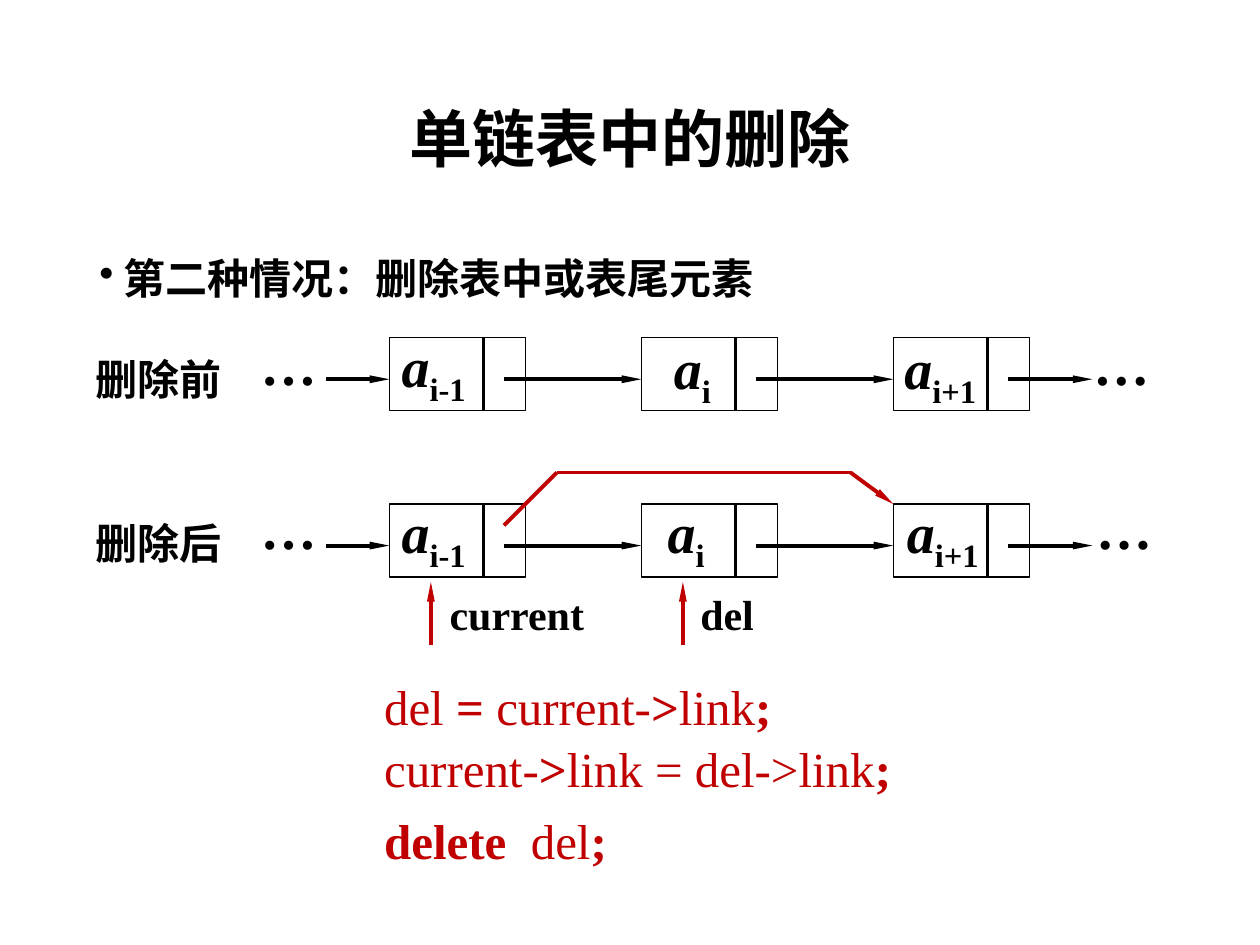
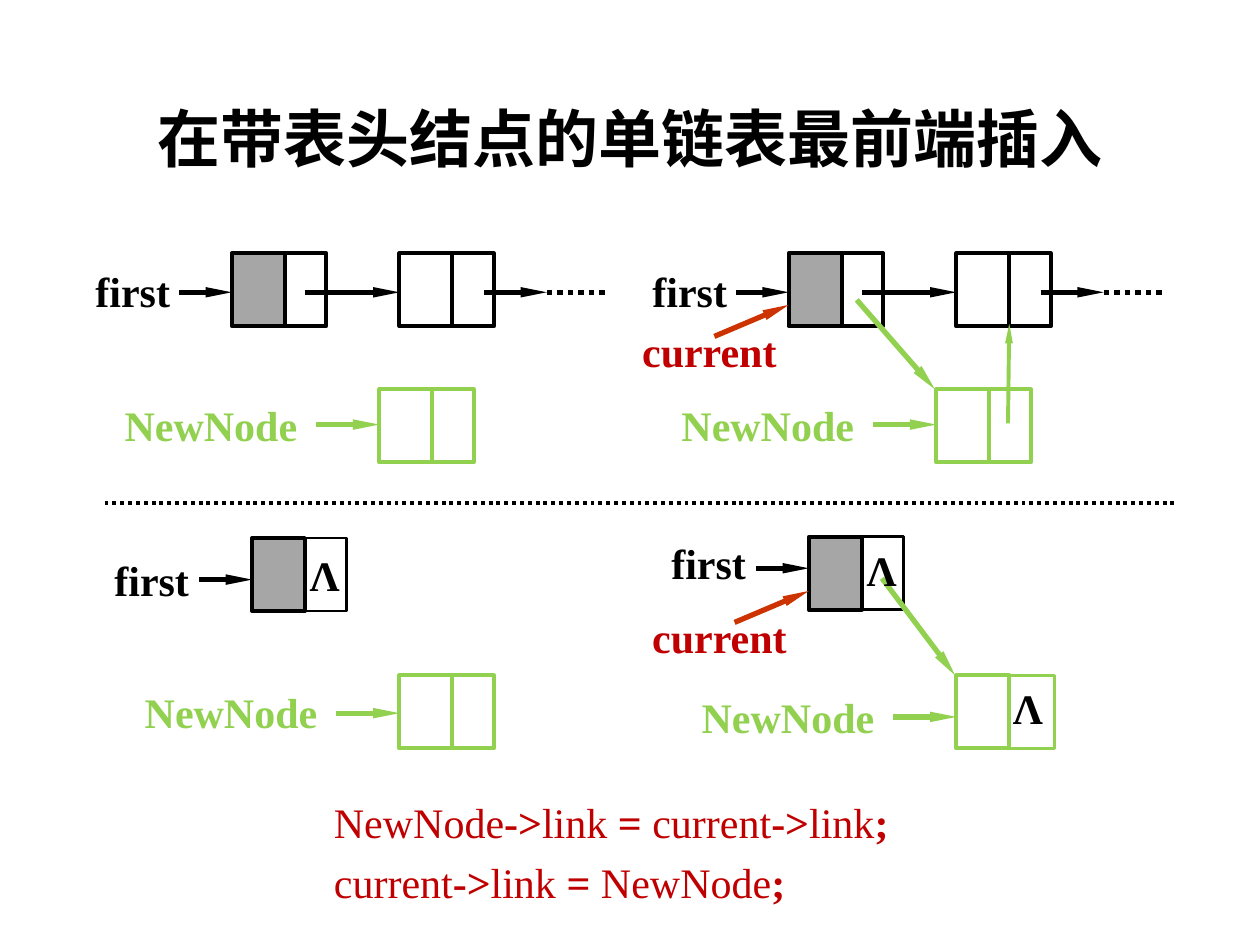
import dataclasses

import pptx
import pptx.dml.color
import pptx.enum.dml
import pptx.enum.shapes
import pptx.enum.text
import pptx.oxml
import pptx.oxml.ns
import pptx.util

ALIGN = pptx.enum.text.PP_ALIGN
MID = pptx.enum.text.MSO_ANCHOR.MIDDLE
TOP = pptx.enum.text.MSO_ANCHOR.TOP
RECT = pptx.enum.shapes.MSO_SHAPE.RECTANGLE
STRAIGHT = pptx.enum.shapes.MSO_CONNECTOR.STRAIGHT
DOTS = pptx.enum.dml.MSO_LINE.ROUND_DOT


@dataclasses.dataclass
class Theme:
    black: str = "000000"
    white: str = "FFFFFF"
    gray: str = "A6A6A6"
    red: str = "C00000"
    rust: str = "CC3300"
    green: str = "92D050"
    latin: str = "Times New Roman"
    han: str = "Noto Sans CJK SC"
    title: int = 36
    sign: int = 32
    code: int = 28
    body: int = 24
    unit: float = 2.54  # grid unit in centimetres


def size(num):
    return pptx.util.Cm(num * Theme.unit)


def rgb(tint):
    return pptx.dml.color.RGBColor.from_string(tint)


def code(line):
    """Split at bars: every second part is bold."""
    return [(part, {"bold": i % 2 == 1})
            for i, part in enumerate(line.split("|")) if part]


class Deck:
    def __init__(self, theme):
        self.theme = theme
        self.file = pptx.Presentation()
        self.file.slide_width, self.file.slide_height = size(10), size(7.5)

    def page(self, title):
        self.slide = self.file.slides.add_slide(self.file.slide_layouts[6])
        frame = self.text((0.69, 0.4, 8.62, 1.45), title, self.theme.title,
                          font=self.theme.han, align=ALIGN.CENTER,
                          anchor=MID, wrap=True)
        frame.paragraphs[0].line_spacing = 0.9

    def run(self, par, text, pts, tint, font, bold=True, italic=False, **marks):
        run = par.add_run()
        run.text = text
        run.font.size = pptx.util.Pt(pts)
        run.font.name = font
        run.font.bold, run.font.italic = bold, italic
        run.font.color.rgb = rgb(tint)
        prop = run._r.get_or_add_rPr()
        pptx.oxml.ns.qn("a:ea")
        east = prop.makeelement(pptx.oxml.ns.qn("a:ea"), {"typeface": font})
        prop.append(east)
        for name, mark in marks.items():
            prop.set(name, str(mark))

    def text(self, box, runs, pts=None, tint=None, font=None,
             align=ALIGN.LEFT, anchor=TOP, wrap=False):
        """Place one paragraph, given as a string or as (text, style) runs."""
        frame = self.slide.shapes.add_textbox(*map(size, box)).text_frame
        frame.word_wrap = wrap
        frame.vertical_anchor = anchor
        if not wrap:
            frame.auto_size = pptx.enum.text.MSO_AUTO_SIZE.SHAPE_TO_FIT_TEXT
        self.fill(frame.paragraphs[0], runs, pts, tint, font, align)
        return frame

    def fill(self, par, runs, pts=None, tint=None, font=None, align=ALIGN.LEFT):
        par.alignment = align
        for text, style in [(runs, {})] if isinstance(runs, str) else runs:
            self.run(par, text, pts or self.theme.body,
                     tint or self.theme.black, font or self.theme.latin, **style)

    def rect(self, box, tint, width, fill=None):
        shape = self.slide.shapes.add_shape(RECT, *map(size, box))
        shape.shadow.inherit = False
        shape.fill.solid()
        shape.fill.fore_color.rgb = rgb(fill or self.theme.white)
        shape.line.color.rgb = rgb(tint)
        shape.line.width = pptx.util.Pt(width)

    def line(self, start, end, tint=None, width=3, head=True, dash=None):
        wire = self.slide.shapes.add_connector(
            STRAIGHT, *map(size, (*start, *end)))
        wire.line.color.rgb = rgb(tint or self.theme.black)
        wire.line.width = pptx.util.Pt(width)
        if dash:
            wire.line.dash_style = dash
        prop = wire.element.spPr
        if head:
            tail = {"type": "triangle", "w": "sm", "len": "lg"}
            rim = prop.find(pptx.oxml.ns.qn("a:ln"))
            rim.append(rim.makeelement(pptx.oxml.ns.qn("a:tailEnd"), tail))
        prop.append(prop.makeelement(pptx.oxml.ns.qn("a:effectLst"), {}))

    def node(self, x, y, tint=None, fill=None, thin=None, wide=0.33):
        """Draw a data cell and a link cell side by side."""
        tint = tint or self.theme.black
        self.rect((x + 0.42, y, wide, 0.58), tint, thin or 2.25)
        self.rect((x, y, 0.42, 0.58), tint, 2.25, fill)

    def item(self, x, y, wide, sub):
        self.text((x, y, wide, 0.64),
                  [("a", {"italic": True}), (sub, {"baseline": -25000})],
                  self.theme.sign)


def chain(deck, name, top, tag, dots, items):
    """Draw one row of three linked nodes between two ellipses."""
    mid = top + 0.33
    deck.text((0.66, tag, 1.21, 0.5), name, font=deck.theme.han)
    deck.line((2.59, mid), (3.09, mid), width=2.25)
    for i in range(3):
        x = 3.09 + 2 * i
        deck.rect((x, top, 1.08, 0.58), deck.theme.black, 0.75)
        deck.line((x + 0.75, top), (x + 0.75, top + 0.58), width=1.5, head=False)
        end = x + 2 if i < 2 else 8.67
        deck.line((x + 0.91, mid), (end, mid), width=2.25)
    for x in (1.97, dots[0]):
        deck.text((x, dots[1], 0.65, 0.64), "…", deck.theme.sign)
    for item in items:
        deck.item(*item)


def remove(deck):
    theme = deck.theme
    deck.page("单链表中的删除")
    frame = deck.text((0.69, 2, 8.62, 0.6), "第二种情况：删除表中或表尾元素",
                      font=theme.han, wrap=True)
    par = frame.paragraphs[0]
    prop = par._p.get_or_add_pPr()
    prop.set("marL", str(size(0.19)))
    prop.set("indent", str(-size(0.19)))
    prop.append(prop.makeelement(pptx.oxml.ns.qn("a:buChar"), {"char": "•"}))
    par.line_spacing = 0.9

    # Lists before and after
    chain(deck, "删除前", 2.68, 2.76, (8.58, 2.57),
          [(3.09, 2.58, 0.76, "i-1"), (5.25, 2.6, 0.51, "i"),
           (7.08, 2.6, 0.83, "i+1")])
    chain(deck, "删除后", 4, 4.06, (8.6, 3.87),
          [(3.09, 3.9, 0.76, "i-1"), (5.2, 3.9, 0.51, "i"),
           (7.1, 3.9, 0.83, "i+1")])

    # Pointers and bypass
    for x, left, wide, name in ((3.42, 3.47, 1.28, "current"),
                                (5.42, 5.46, 0.63, "del")):
        deck.line((x, 5.12), (x, 4.62), theme.red, 2.25)
        deck.text((left, 4.62, wide, 0.5), name)
    bends = [(4, 4.17), (4.42, 3.75), (6.75, 3.75), (7.09, 4)]
    for start, end in zip(bends, bends[1:]):
        deck.line(start, end, theme.red, 2.25, head=end == bends[-1])

    # Code
    wide = [(" ", {"spc": 700})]
    for y, runs in ((5.32, code("del |= |current-|>|link|;")),
                    (5.81, code("current-|>|link = del->link|;")),
                    (6.38, code("|delete") + wide + code("del|;"))):
        deck.text((2.95, y, 4.51, 0.57), runs, theme.code, theme.red, wrap=True)


def insert(deck):
    theme = deck.theme
    deck.page("在带表头结点的单链表最前端插入")
    shift = 4.42

    # Filled list, before and after
    for x in (0, shift):
        deck.node(x + 3.17, 2.01)
        deck.node(x + 1.84, 2.01, fill=theme.gray)
        deck.node(x + 3.01, 3.09, theme.green)
        for start, end in ((1.42, 1.84), (2.42, 3.17), (3.84, 4.34)):
            deck.line((x + start, 2.32), (x + end, 2.32))
        deck.line((x + 4.34, 2.32), (x + 4.84, 2.32), head=False, dash=DOTS)
        deck.line((x + 2.51, 3.37), (x + 3.01, 3.37), theme.green)
        deck.text((x + 0.66, 2.06, 0.8, 0.5), "first")
        deck.text((x + 0.89, 3.12, 1.59, 0.5), "NewNode", tint=theme.green)

    # Empty list, before and after
    deck.line((0.83, 3.99), (9.33, 3.99), width=2.25, head=False, dash=DOTS)
    for x, top, mid, tag, low, name, thin, wide in (
            (0, 4.27, 4.6, 4.35, 5.66, 5.4, None, 0.33),
            (shift, 4.26, 4.51, 4.22, 5.69, 5.44, 1.5, 0.36)):
        deck.node(x + 2, top, fill=theme.gray, thin=1.5)
        deck.node(x + 3.17, 5.36, theme.green, thin=thin, wide=wide)
        deck.line((x + 1.58, mid), (x + 2, mid))
        deck.line((x + 2.67, low), (x + 3.17, low), theme.green)
        deck.text((x + 0.81, tag, 0.8, 0.5), "first")
        deck.text((x + 1.05, name, 1.59, 0.5), "NewNode", tint=theme.green)

    # New links
    deck.line((6.8, 2.38), (7.42, 3.09), theme.green)
    deck.line((8, 3.36), (8.01, 2.57), theme.green, 2.25)
    deck.line((7, 4.59), (7.58, 5.36), theme.green)
    for x, y, left, top in ((5.67, 2.67, 4.99, 2.53), (5.83, 4.94, 5.07, 4.8)):
        deck.line((x, y), (x + 0.59, y - 0.25), theme.rust)
        deck.text((left, top, 1.28, 0.5), "current", tint=theme.red,
                  align=ALIGN.CENTER, anchor=MID)
    for x, y in ((2.36, 4.31), (6.78, 4.27), (7.94, 5.37)):
        deck.text((x, y, 0.44, 0.5), "Λ")

    # Code
    frame = deck.text((2.53, 6.26, 5.35, 1.01),
                      code("NewNode|->|link |= |current|->|link|;"),
                      tint=theme.red, wrap=True)
    frame.margin_left = frame.margin_right = size(0.12)
    frame.margin_top = frame.margin_bottom = size(0.06)
    par = frame.add_paragraph()
    par.space_before = pptx.util.Pt(5.5)
    deck.fill(par, code("current|->|link |= |NewNode|;"), tint=theme.red)


def main():
    deck = Deck(Theme())
    remove(deck)
    insert(deck)
    deck.file.save("out.pptx")


if __name__ == "__main__":
    main()
